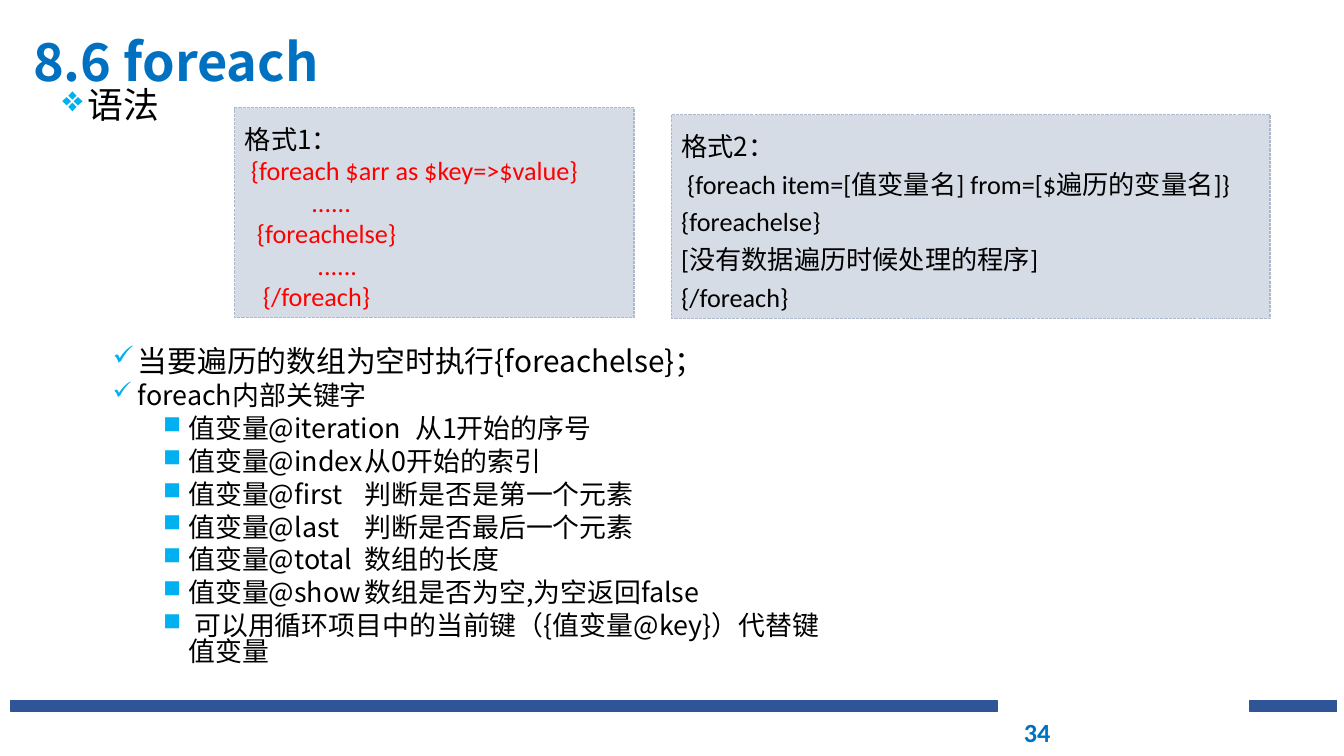
from lxml.etree import SubElement
from pptx import Presentation
from pptx.dml.color import RGBColor
from pptx.enum.dml import MSO_LINE
from pptx.enum.shapes import MSO_SHAPE
from pptx.enum.text import MSO_ANCHOR, PP_ALIGN
from pptx.oxml.ns import qn
from pptx.util import Inches, Pt

NAVY = RGBColor(0x2F, 0x55, 0x97)
BLUE = RGBColor(0x00, 0x70, 0xC0)
PALE = RGBColor(0xD6, 0xDC, 0xE5)
EDGE = RGBColor(0xAD, 0xB9, 0xCA)
RED = RGBColor(0xFF, 0x00, 0x00)
BLACK = RGBColor(0x00, 0x00, 0x00)
SKY = "00B0F0"
NOTO, CALI = "Noto Sans CJK SC", "Calibri"

deck = Presentation()
deck.slide_width, deck.slide_height = Inches(13.33), Inches(7.5)
slide = deck.slides.add_slide(deck.slide_layouts[6])


def place(x, y, w, h, fill=None, edge=None):
    """Add a text box, or a rectangle if filled; lengths are percent of the slide."""
    wide, high = deck.slide_width / 100, deck.slide_height / 100
    area = [int(n) for n in (x * wide, y * high, w * wide, h * high)]
    if fill is None:
        shape = slide.shapes.add_textbox(*area)
    else:
        shape = slide.shapes.add_shape(MSO_SHAPE.RECTANGLE, *area)
        shape.shadow.inherit = False
        shape.fill.solid()
        shape.fill.fore_color.rgb = fill
        shape.line.color.rgb = edge
    shape.text_frame.word_wrap = True
    return shape


def write(frame, text, size, face=NOTO, color=BLACK, bold=False, mark=None,
          share=100, left=0, hang=0, **look):
    """Add one paragraph; look holds further paragraph attributes."""
    para = frame.paragraphs[0]
    if para.runs:
        para = frame.add_paragraph()
    for key, value in {"alignment": PP_ALIGN.LEFT, **look}.items():
        setattr(para, key, value)
    props = para._p.get_or_add_pPr()
    props.set("marL", str(Inches(left)))
    props.set("indent", str(Inches(-hang)))
    if mark:
        tint = SubElement(props, qn("a:buClr"))
        SubElement(tint, qn("a:srgbClr"), val=SKY)
        SubElement(props, qn("a:buSzPct"), val=str(share * 1000))
        SubElement(props, qn("a:buChar"), char=mark)
    run = para.add_run()
    run.text = text
    for key, value in {"size": Pt(size), "name": face, "bold": bold}.items():
        setattr(run.font, key, value)
    run.font.color.rgb = color
    SubElement(run._r.get_or_add_rPr(), qn("a:ea"), typeface=NOTO)


# Footer bars
for x, w in ((0.82, 73.35), (93, 6.45)):
    place(x, 92.67, w, 1.47, NAVY, NAVY).line.width = Pt(1)

# Heading of the section
head = place(3.9, 11.87, 13.5, 5.6).text_frame
write(head, "语法", 25.6, mark="❖", left=0.25, hang=0.25, line_spacing=0.7)

# Notes under the code
notes = (
    (1, 21.3, "当要遍历的数组为空时执行{foreachelse}；"),
    (1, 19.2, "foreach内部关键字"),
    (2, 19.2, "值变量@iteration\t从1开始的序号"),
    (2, 19.2, "值变量@index\t从0开始的索引"),
    (2, 19.2, "值变量@first\t判断是否是第一个元素"),
    (2, 19.2, "值变量@last\t判断是否最后一个元素"),
    (2, 19.2, "值变量@total\t数组的长度"),
    (2, 19.2, "值变量@show\t数组是否为空,为空返回false"),
    (2, 19.2, " 可以用循环项目中的当前键（{值变量@key}）代替键值变量"),
)
body = place(3.9, 45.6, 59.03, 43.87).text_frame
for level, size, text in notes:
    write(body, text, size, mark=" ✓■"[level], share=90, level=level,
          left=0.25 + 0.5 * level, hang=0.25, line_spacing=0.8, space_before=Pt(5))

# Title and page number
title = place(1.73, 0.27, 90, 16.67).text_frame
title.vertical_anchor = MSO_ANCHOR.MIDDLE
write(title, "8.6 foreach", 37.3, color=BLUE, bold=True, line_spacing=0.9)
page = place(75.45, 94.13, 23.33, 5.33).text_frame
write(page, "34", 18.7, CALI, BLUE, True)

# Code boxes: area, head, line spacing, colour, lines with their indent in spaces
SPACE = 0.06
boxes = (
    ((17.48, 14.27, 29.7, 27.73), "格式1：", 1.0, RED, (
        (1, "{foreach $arr as $key=>$value}"),
        (11, "......"),
        (2, "{foreachelse}"),
        (12, "......"),
        (3, "{/foreach}"))),
    ((49.95, 15.2, 44.55, 26.93), "格式2：", 1.2, BLACK, (
        (1, "{foreach item=[值变量名] from=[$遍历的变量名]}"),
        (0, "{foreachelse}"),
        (0, "[没有数据遍历时候处理的程序]"),
        (0, "{/foreach}"))),
)
for area, label, gap, color, lines in boxes:
    box = place(*area, PALE, EDGE)
    box.line.width = Pt(0.75)
    box.line.dash_style = MSO_LINE.SQUARE_DOT
    frame = box.text_frame
    frame.vertical_anchor = MSO_ANCHOR.MIDDLE
    write(frame, label, 18.7, line_spacing=1.3)
    for step, text in lines:
        write(frame, text, 18.7, CALI, color, left=step * SPACE, line_spacing=gap)

deck.save("out.pptx")
